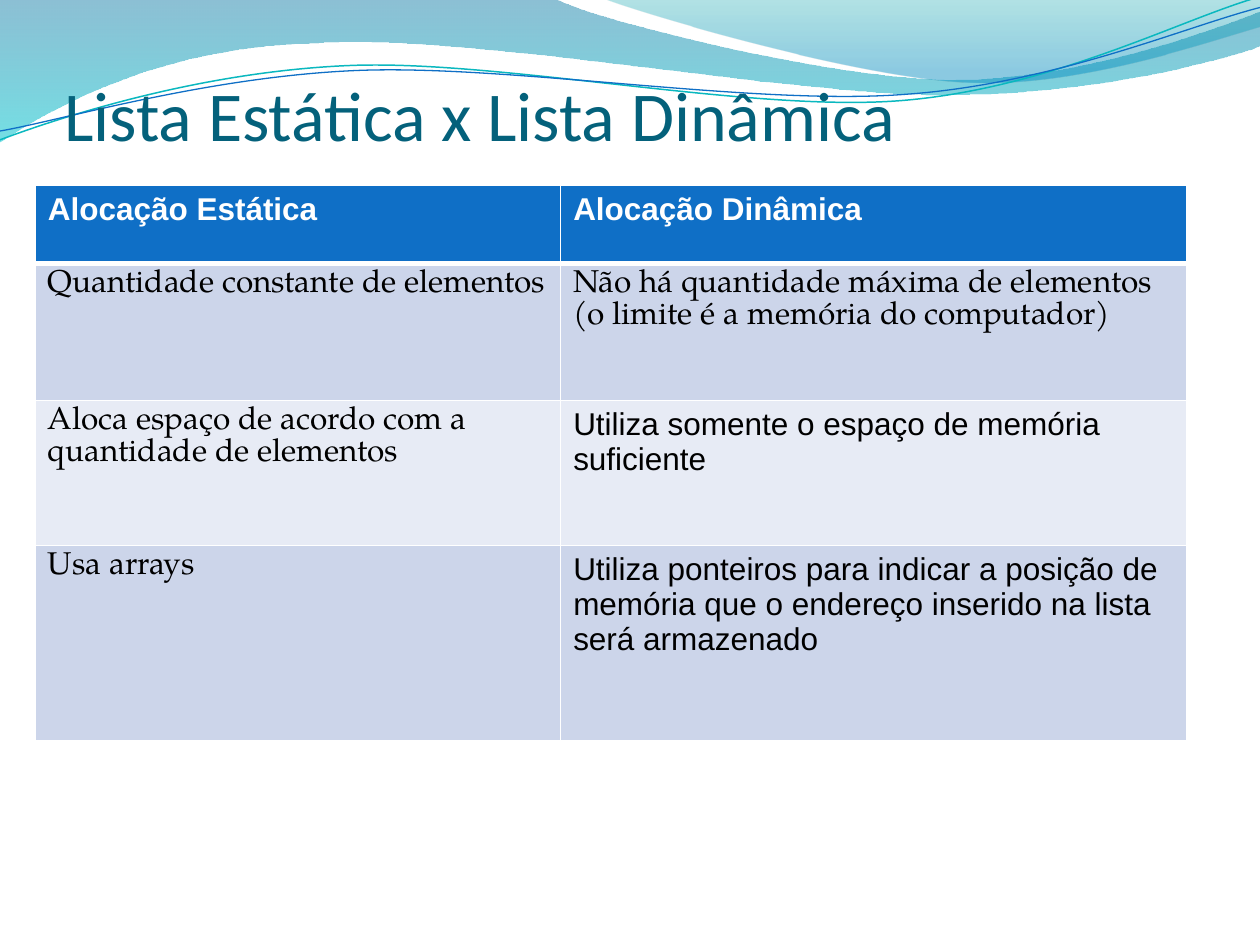
from dataclasses import dataclass
from math import cos, radians, sin

from lxml import etree
from pptx import Presentation
from pptx.dml.color import RGBColor
from pptx.enum.text import MSO_ANCHOR
from pptx.oxml.ns import qn
from pptx.util import Inches, Pt

BOTTOM = MSO_ANCHOR.BOTTOM
PAGELLA = "TeX Gyre Pagella"


@dataclass
class Stop:
    position: float
    color: str
    opacity: int


@dataclass
class Wave:
    start: tuple
    segments: list
    stops: tuple = ()
    line: str = ""
    width: float = 0
    tilt: float = 0
    center: tuple = (0, 0)


@dataclass
class Cell:
    text: str
    font: str = PAGELLA
    color: str = "000000"
    bold: bool = False


WAVES = [
    Wave((0, 0), [
        (4.4, -0.01),
        (4.76, 0.17, 6.64, 0.63, 7.58, 0.63),
        (8.53, 0.63, 9.58, 0.26, 10, 0.09),
        (10.01, 0.36),
        (9.83, 0.44, 8.7, 0.76, 7.46, 0.75),
        (6.22, 0.75, 3.82, 0.28, 2.57, 0.34),
        (1.29, 0.36, 0.46, 0.83, -0.01, 1.13),
    ], stops=(Stop(0, "0074A1", 45), Stop(1, "00C6CF", 55))),
    Wave((4.79, -0.01), [
        (5.09, 0.11, 6.82, 0.62, 7.69, 0.65),
        (8.56, 0.69, 9.61, 0.32, 10, 0.21),
        (10, 0),
    ], stops=(Stop(0, "00A1A9", 30), Stop(0.8, "008BBF", 45))),
    Wave((0, 1.11), [
        (0.48, 0.93, 1.58, 0.57, 2.77, 0.52),
        (3.95, 0.47, 5.93, 0.89, 7.13, 0.8),
        (8.33, 0.71, 9.38, 0.15, 9.98, -0.02),
    ], line="0AB8BF", width=0.85, tilt=-2.7, center=(4.99, 0.57)),
    Wave((0, 1.04), [
        (0.47, 0.96, 1.64, 0.61, 2.83, 0.56),
        (4.03, 0.51, 5.97, 0.84, 7.17, 0.75),
        (8.36, 0.67, 9.41, 0.21, 10, 0.06),
    ], line="0F6FC6", width=0.75, tilt=-2.7, center=(5, 0.59)),
]

COLUMNS = [4.17, 4.97]
HEIGHTS = [0.62, 1.09, 1.15, 1.55]
FILLS = ["0F6FC6", "CCD5EA", "E7EBF5", "CCD5EA"]
ROWS = [
    [Cell("Alocação Estática", "Arial", "FFFFFF", True),
     Cell("Alocação Dinâmica", "Arial", "FFFFFF", True)],
    [Cell("Quantidade constante de elementos"),
     Cell("Não há quantidade máxima de elementos (o limite é a memória do computador)")],
    [Cell("Aloca espaço de acordo com a quantidade de elementos"),
     Cell("Utiliza somente o espaço de memória suficiente", "Arial")],
    [Cell("Usa arrays"),
     Cell("Utiliza ponteiros para indicar a posição de memória que o endereço "
          "inserido na lista será armazenado", "Arial")],
]


def rgb(color: str) -> RGBColor:
    return RGBColor.from_string(color)


def write(tf, text: str, *, size: float, font: str, color: str, bold: bool = False) -> None:
    tf.word_wrap = True
    r = tf.paragraphs[0].add_run()
    r.text = text
    r.font.size = Pt(size)
    r.font.name = font
    r.font.bold = bold
    r.font.color.rgb = rgb(color)


def level(point: tuple, wave: Wave) -> tuple:
    angle = radians(-wave.tilt)
    cx, cy = wave.center
    dx, dy = point[0] - cx, point[1] - cy
    return (Inches(cx + dx * cos(angle) - dy * sin(angle)),
            Inches(cy + dx * sin(angle) + dy * cos(angle)))


def bend(s, segments: list) -> None:
    nodes = iter(list(s._element.iter(qn("a:lnTo"))))
    for segment in segments:
        first = next(nodes)
        if len(segment) == 6:
            first.tag_name = None
            curve = etree.Element(qn("a:cubicBezTo"))
            first.addprevious(curve)
            for node in (first, next(nodes), next(nodes)):
                curve.append(node[0])
                node.getparent().remove(node)


def add_wave(shapes, wave: Wave) -> None:
    points = [level(segment[i:i + 2], wave) for segment in [wave.start, *wave.segments]
              for i in range(0, len(segment), 2)]
    builder = shapes.build_freeform(*points[0], scale=1)
    builder.add_line_segments(points[1:], close=bool(wave.stops))
    s = builder.convert_to_shape()
    bend(s, wave.segments)
    s.rotation = wave.tilt
    s.shadow.inherit = False
    if not wave.stops:
        s.fill.background()
        s.line.color.rgb = rgb(wave.line)
        s.line.width = Pt(wave.width)
        return
    s.line.fill.background()
    s.fill.gradient()
    s.fill.gradient_angle = 270
    for target, stop in zip(s.fill.gradient_stops, wave.stops):
        target.position = stop.position
        target.color.rgb = rgb(stop.color)
    for node, stop in zip(s._element.spPr.iter(qn("a:srgbClr")), wave.stops):
        etree.SubElement(node, qn("a:alpha"), val=str(stop.opacity * 1000))


def add_borders(cell, color: str, widths: dict) -> None:
    tcPr = cell._tc.get_or_add_tcPr()
    for index, (side, width) in enumerate(widths.items()):
        ln = etree.Element(qn(f"a:ln{side}"), w=str(Pt(width)))
        fill = etree.SubElement(ln, qn("a:solidFill"))
        etree.SubElement(fill, qn("a:srgbClr"), val=color)
        tcPr.insert(index, ln)


def add_comparison(shapes) -> None:
    table = shapes.add_table(len(ROWS), len(COLUMNS), Inches(0.28), Inches(1.47),
                             Inches(sum(COLUMNS)), Inches(sum(HEIGHTS))).table
    for column, width in zip(table.columns, COLUMNS):
        column.width = Inches(width)
    for i, (cells, height, fill) in enumerate(zip(ROWS, HEIGHTS, FILLS)):
        table.rows[i].height = Inches(height)
        for j, item in enumerate(cells):
            cell = table.cell(i, j)
            cell.fill.solid()
            cell.fill.fore_color.rgb = rgb(fill)
            write(cell.text_frame, item.text, size=18, font=item.font,
                  color=item.color, bold=item.bold)
            add_borders(cell, "FFFFFF", {"L": 1, "R": 1, "T": 3 if i == 1 else 1,
                                         "B": 3 if i == 0 else 1})


def add_title(shapes) -> None:
    tf = shapes.add_textbox(Inches(0.51), Inches(0.44), Inches(9.22), Inches(0.79)).text_frame
    tf.margin_left = tf.margin_right = tf.margin_bottom = 0
    tf.margin_top = Inches(0.05)
    tf.vertical_anchor = BOTTOM
    write(tf, "Lista Estática x Lista Dinâmica", size=40, font="Calibri", color="04617B")


prs = Presentation()
prs.slide_width, prs.slide_height = Inches(10), Inches(7.5)
slide = prs.slides.add_slide(prs.slide_layouts[6])
for wave in WAVES:
    add_wave(slide.shapes, wave)
add_title(slide.shapes)
add_comparison(slide.shapes)
prs.save("out.pptx")
